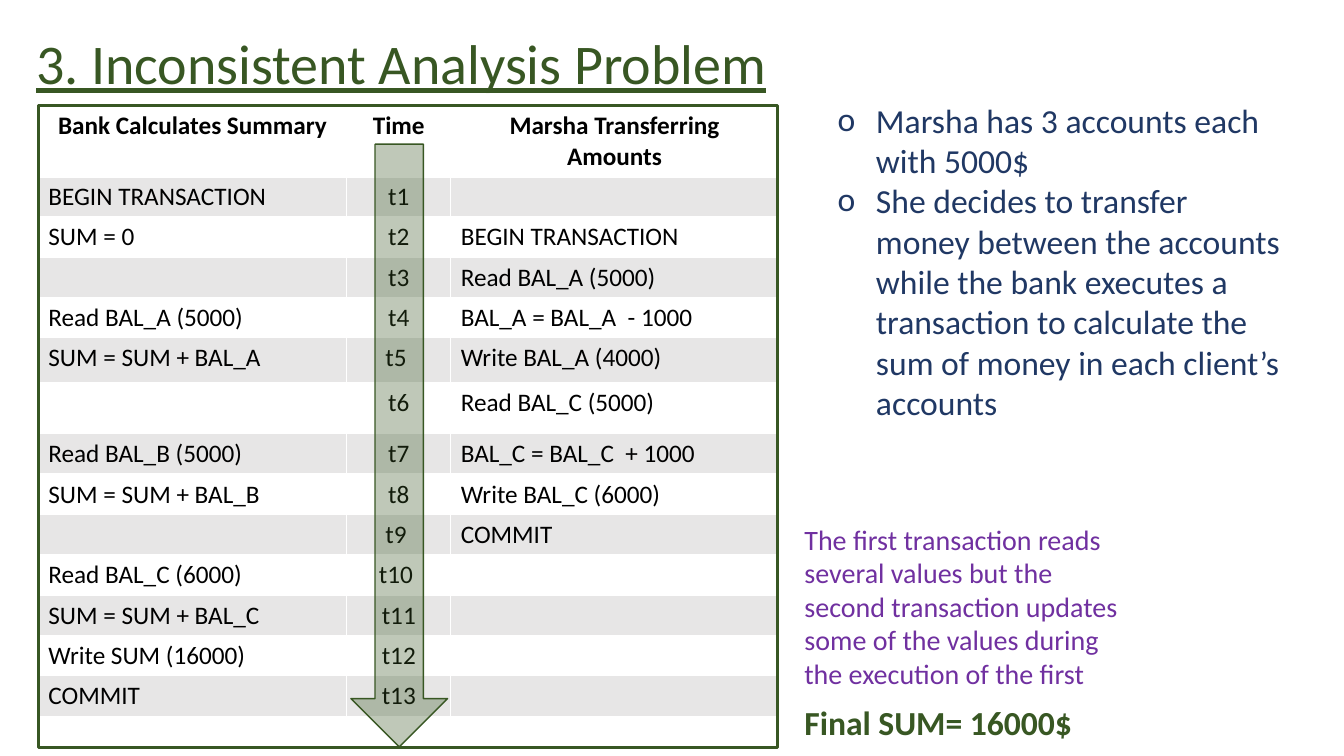
from lxml import etree
from pptx import Presentation
from pptx.dml.color import RGBColor
from pptx.enum.shapes import MSO_SHAPE
from pptx.enum.text import MSO_ANCHOR, PP_ALIGN
from pptx.oxml.ns import qn
from pptx.util import Inches, Pt

CENTER = PP_ALIGN.CENTER
LEFT = PP_ALIGN.LEFT
TOP = MSO_ANCHOR.TOP
MIDDLE = MSO_ANCHOR.MIDDLE
RECTANGLE = MSO_SHAPE.RECTANGLE
DOWN_ARROW = MSO_SHAPE.DOWN_ARROW

WIDTH, HEIGHT = Inches(13.33), Inches(7.5)
FONT = "Calibri"
GREEN, NAVY, PURPLE = "385723", "203864", "7030A0"
BLACK, WHITE, GREY = "000000", "FFFFFF", "E7E6E6"

TABLE_LEFT, TABLE_TOP, TABLE_WIDTH = 2.85, 14, 55
SIDE_LEFT = 59.11
COLUMN_SHARES = [22.96, 7.73, 24.38]
ROW_SHARE = 4.8
TALL_ROWS = {2: 5.07, 5: 5.87, 6: 6.8, 7: 5.07}
SCHEDULE = [
    ("Bank Calculates Summary", "Time", "Marsha Transferring Amounts"),
    ("BEGIN TRANSACTION", "t1", ""),
    ("SUM = 0", "t2", "BEGIN TRANSACTION"),
    ("", "t3", "Read BAL_A (5000)"),
    ("Read BAL_A (5000)", "t4", "BAL_A = BAL_A  - 1000"),
    ("SUM = SUM + BAL_A", "t5 ", "Write BAL_A (4000)"),
    ("", "t6", "Read BAL_C (5000)"),
    ("Read BAL_B (5000)", "t7", "BAL_C = BAL_C  + 1000"),
    ("SUM = SUM + BAL_B", "t8", "Write BAL_C (6000)"),
    ("", "t9 ", "COMMIT"),
    ("Read BAL_C (6000)", "t10 ", ""),
    ("SUM = SUM + BAL_C", "t11", ""),
    ("Write SUM (16000)", "t12", ""),
    ("COMMIT", "t13", ""),
]
FACTS = [
    "Marsha has 3 accounts each with 5000$",
    "She decides to transfer money between the accounts while the bank executes "
    "a transaction to calculate the sum of money in each client’s accounts",
]
NOTE = ("The first transaction reads several values but the second transaction "
        "updates some of the values during the execution of the first")


def color(code):
    return RGBColor.from_string(code)


def across(share):
    return round(WIDTH * share / 100)


def down(share):
    return round(HEIGHT * share / 100)


def area(left, top, width, height):
    return across(left), down(top), across(width), down(height)


def write(para, text, size, code, bold=False, underline=False):
    span = para.add_run()
    span.text = text
    font = span.font
    font.name, font.size, font.bold = FONT, Pt(size), bold
    font.underline = underline
    font.color.rgb = color(code)


def add_bullet(para):
    props = para._p.get_or_add_pPr()
    props.set("marL", str(Inches(0.38)))
    props.set("indent", str(Inches(-0.38)))
    etree.SubElement(props, qn("a:buFont"), typeface=FONT)
    etree.SubElement(props, qn("a:buChar"), char="o")


def add_text(page, place, texts, size, code, bold=False, underline=False,
             anchor=TOP, spacing=None, bulleted=False):
    frame = page.shapes.add_textbox(*area(*place)).text_frame
    frame.word_wrap = True
    frame.vertical_anchor = anchor
    for index, text in enumerate(texts):
        para = frame.add_paragraph() if index else frame.paragraphs[0]
        if spacing:
            para.line_spacing = spacing
        if bulleted:
            add_bullet(para)
        write(para, text, size, code, bold, underline)


def add_outline(page, kind, place, width, fill=None, opacity=100):
    shape = page.shapes.add_shape(kind, *area(*place))
    shape.shadow.inherit = False
    shape.line.color.rgb = color(GREEN)
    shape.line.width = Pt(width)
    if fill:
        shape.fill.solid()
        shape.fill.fore_color.rgb = color(fill)
        tone = shape._element.spPr.find(qn("a:solidFill"))[0]
        etree.SubElement(tone, qn("a:alpha"), val=str(opacity * 1000))
    else:
        shape.fill.background()


def add_borders(cell, bottom):
    props = cell._tc.get_or_add_tcPr()
    for side, width in (("L", 1), ("R", 1), ("T", 1), ("B", bottom)):
        line = etree.SubElement(props, qn(f"a:ln{side}"), w=str(Pt(width)))
        solid = etree.SubElement(line, qn("a:solidFill"))
        etree.SubElement(solid, qn("a:srgbClr"), val=WHITE)


def fill_cell(cell, text, row, column):
    header = row == 0
    add_borders(cell, 3 if header else 1)
    if row % 2:
        cell.fill.solid()
        cell.fill.fore_color.rgb = color(GREY)
    else:
        cell.fill.background()
    para = cell.text_frame.paragraphs[0]
    para.alignment = CENTER if header or column == 1 else LEFT
    para.font.size = Pt(18)
    if text:
        write(para, text, 18, BLACK, bold=header)


def add_schedule(page):
    heights = [TALL_ROWS.get(row, ROW_SHARE) for row in range(len(SCHEDULE))]
    place = area(TABLE_LEFT, TABLE_TOP, TABLE_WIDTH, sum(heights))
    table = page.shapes.add_table(len(SCHEDULE), len(COLUMN_SHARES), *place).table
    table.first_row = table.horz_banding = False
    for column, share in zip(table.columns, COLUMN_SHARES):
        column.width = across(share)
    for row, texts in enumerate(SCHEDULE):
        table.rows[row].height = down(heights[row])
        for column, text in enumerate(texts):
            fill_cell(table.cell(row, column), text, row, column)


def main():
    deck = Presentation()
    deck.slide_width, deck.slide_height = WIDTH, HEIGHT
    page = deck.slides.add_slide(deck.slide_layouts[6])
    add_text(page, (1.95, 3.73, 70, 10.13), ["3. Inconsistent Analysis Problem"],
             40, GREEN, underline=True, anchor=MIDDLE, spacing=0.9)
    add_schedule(page)
    add_text(page, (SIDE_LEFT, 68.4, 25.88, 23.73), [NOTE], 20, PURPLE)
    add_outline(page, DOWN_ARROW, (26.11, 19.07, 7.2, 79.73), 1, GREEN, 32)
    add_outline(page, RECTANGLE, (TABLE_LEFT, TABLE_TOP, TABLE_WIDTH, 84.93), 2.25)
    add_text(page, (SIDE_LEFT, 92.13, 29.48, 6.67), ["Final SUM= 16000$"],
             24, GREEN, bold=True)
    add_text(page, (61.59, 12.53, 34.96, 49.87), FACTS, 24, NAVY, bulleted=True)
    deck.save("out.pptx")


if __name__ == "__main__":
    main()
